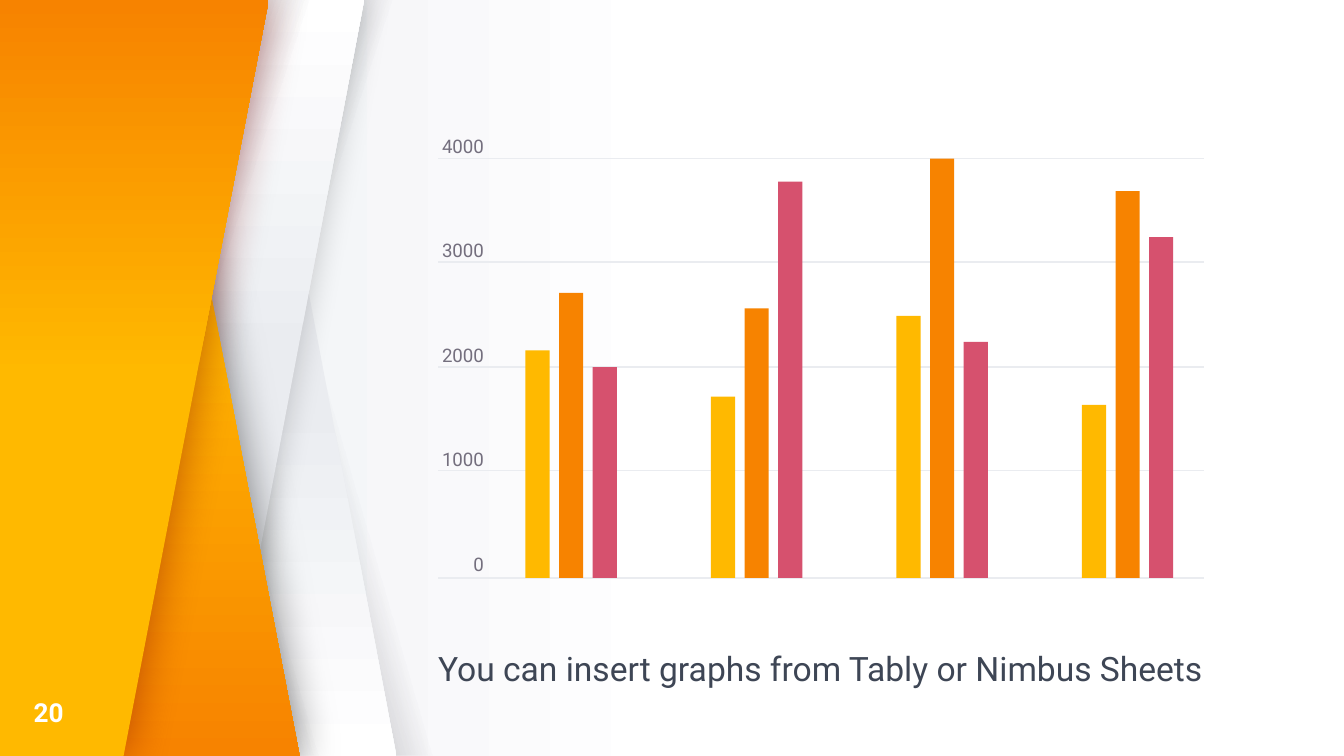
from pptx import Presentation
from pptx.dml.color import RGBColor
from pptx.enum import shapes, text
from pptx.oxml import parse_xml
from pptx.oxml.ns import nsdecls, qn
from pptx.util import Inches, Pt

# Content
CAPTION = "You can insert graphs from Tably or Nimbus Sheets"
PAGE_NUMBER = "20"
GRID = [("4000", 1.18), ("3000", 1.95), ("2000", 2.73), ("1000", 3.5), ("0", 4.3)]
SERIES_COLOURS = ["FFB900", "F78300", "D6516E"]
GROUPS = [(2170, 2720, 2010), (1730, 2570, 3780), (2500, 4000, 2250), (1650, 3690, 3250)]

# Sizes in inches
WIDTH, HEIGHT = 10, 5.625
BAND_WIDTH = 2.3
GRID_LEFT, GRID_WIDTH = 3.26, 5.7
BAR_LEFT, BAR_WIDTH, BAR_STEP, GROUP_STEP = 3.91, 0.18, 0.25, 1.38
BASELINE, FULL_HEIGHT, FULL_VALUE = 4.3, 3.12, 4000

# Gradient stops: position, colour, opacity (percent)
SHADE = [(45, "27252C", 0), (100, "3E4655", 100)]
WHITE = [(53, "EAECF0", 100), (100, "FFFFFF", 100)]
ORANGE_BACK = [(37, "FFB900", 100), (100, "F78300", 100)]
ORANGE_FRONT = [(50, "FFB900", 100), (100, "F78300", 100)]
BACKDROP = [(50, "FFFFFF", 100), (100, "EAECF0", 100)]

# Ribbon from back to front. Band: left, slant, flipped, stops, angle, shadow
# Panel: corner points, stops, angle, shadow. Shadow: colour, opacity, blur
RIBBON = [
    ("band", 1.07, 0.753, True, SHADE, 16, None),
    ("band", 0.65, 0.463, True, WHITE, 90, None),
    ("band", 0.65, 0.753, False, SHADE, 198, None),
    ("band", 0.41, 0.463, False, WHITE, 270, ("000000", 20, 16.9)),
    ("band", 0.22, 0.753, True, SHADE, 16, None),
    ("panel", [(0, 0), (0, HEIGHT), (2.23, HEIGHT), (1.15, 0)],
     ORANGE_BACK, 90, ("000000", 50, 24.7)),
    ("band", 0.03, 0.753, False, SHADE, 198, None),
    ("panel", [(0, HEIGHT), (0, 0), (2, 0), (0.92, HEIGHT)],
     ORANGE_FRONT, 270, ("7E0808", 50, 24.7)),
]


def colour(value):
    return RGBColor.from_string(value)


def set_gradient(fill, element, stops, angle):
    fill.gradient()
    gradient = element.find(".//" + qn("a:gradFill"))
    stop_xml = "".join(
        f'<a:gs pos="{position * 1000}"><a:srgbClr val="{value}">'
        f'<a:alpha val="{opacity * 1000}"/></a:srgbClr></a:gs>'
        for position, value, opacity in stops)
    for child in list(gradient):
        gradient.remove(child)
    gradient.append(parse_xml(f'<a:gsLst {nsdecls("a")}>{stop_xml}</a:gsLst>'))
    gradient.append(parse_xml(f'<a:lin {nsdecls("a")} ang="{angle * 60000}" scaled="0"/>'))


def style_ribbon(shape, stops, angle, shadow):
    set_gradient(shape.fill, shape._element, stops, angle)
    shape.line.fill.background()
    shape.shadow.inherit = False
    if shadow:
        value, opacity, blur = shadow
        shape._element.spPr.find(qn("a:effectLst")).append(parse_xml(
            f'<a:outerShdw {nsdecls("a")} blurRad="{Pt(blur)}" dist="0" dir="0" '
            f'algn="ctr" rotWithShape="0"><a:srgbClr val="{value}">'
            f'<a:alpha val="{opacity * 1000}"/></a:srgbClr></a:outerShdw>'))


def add_text(slide, box, lines, size, value, bold=False):
    frame = slide.shapes.add_textbox(*map(Inches, box)).text_frame
    frame.word_wrap = True
    frame.margin_left = frame.margin_top = frame.margin_right = frame.margin_bottom = 0
    frame.text = "\n".join(lines)
    for paragraph in frame.paragraphs:
        font = paragraph.font
        font.name, font.size, font.bold = "Roboto", Pt(size), bold
        font.color.rgb = colour(value)
    return frame


def add_band(slide, left, slant, flipped, *style):
    band = slide.shapes.add_shape(shapes.MSO_SHAPE.PARALLELOGRAM, Inches(left), 0,
                                  Inches(BAND_WIDTH), Inches(HEIGHT))
    band.adjustments[0] = slant
    if flipped:
        band._element.spPr.find(qn("a:xfrm")).set("flipH", "1")
    style_ribbon(band, *style)


def add_panel(slide, points, *style):
    corners = [(Inches(x), Inches(y)) for x, y in points]
    builder = slide.shapes.build_freeform(*corners[0])
    builder.add_line_segments(corners[1:], close=True)
    style_ribbon(builder.convert_to_shape(), *style)


def add_grid(slide):
    for _, y in GRID:
        line = slide.shapes.add_connector(
            shapes.MSO_CONNECTOR.STRAIGHT, Inches(GRID_LEFT), Inches(y),
            Inches(GRID_LEFT + GRID_WIDTH), Inches(y))
        line.line.color.rgb = colour("EAECF0")
        line.line.width = Pt(0.75)
        line._element.spPr.append(parse_xml(f'<a:effectLst {nsdecls("a")}/>'))
    labels = add_text(slide, (GRID_LEFT, 1, 0.34, 3.31),
                      [label for label, _ in GRID], 10, "746F7E")
    for index, paragraph in enumerate(labels.paragraphs):
        paragraph.alignment = text.PP_ALIGN.RIGHT
        paragraph.space_before = Pt(44 if index else 0)


def add_bars(slide):
    for group, values in enumerate(GROUPS):
        for series, value in enumerate(values):
            left = BAR_LEFT + group * GROUP_STEP + series * BAR_STEP
            height = value / FULL_VALUE * FULL_HEIGHT
            bar = slide.shapes.add_shape(
                shapes.MSO_SHAPE.RECTANGLE, Inches(left), Inches(BASELINE - height),
                Inches(BAR_WIDTH), Inches(height))
            bar.fill.solid()
            bar.fill.fore_color.rgb = colour(SERIES_COLOURS[series])
            bar.line.fill.background()
            bar.shadow.inherit = False


def main():
    presentation = Presentation()
    presentation.slide_width, presentation.slide_height = Inches(WIDTH), Inches(HEIGHT)
    slide = presentation.slides.add_slide(presentation.slide_layouts[6])

    # Background and ribbon
    set_gradient(slide.background.fill, slide._element, BACKDROP, 180)
    builders = {"band": add_band, "panel": add_panel}
    for kind, *part in RIBBON:
        builders[kind](slide, *part)

    # Caption and page number
    caption = add_text(slide, (GRID_LEFT, 4.82, 6.24, 0.57), [CAPTION], 18, "3E4655")
    caption.paragraphs[0].space_before = Pt(3.6)
    caption.paragraphs[0].space_after = Pt(6)
    number = add_text(slide, (0.25, 5.16, 0.4, 0.27), [PAGE_NUMBER], 14, "FFFFFF", True)
    number.vertical_anchor = text.MSO_ANCHOR.MIDDLE

    # Graph
    add_grid(slide)
    add_bars(slide)
    presentation.save("out.pptx")


if __name__ == "__main__":
    main()
